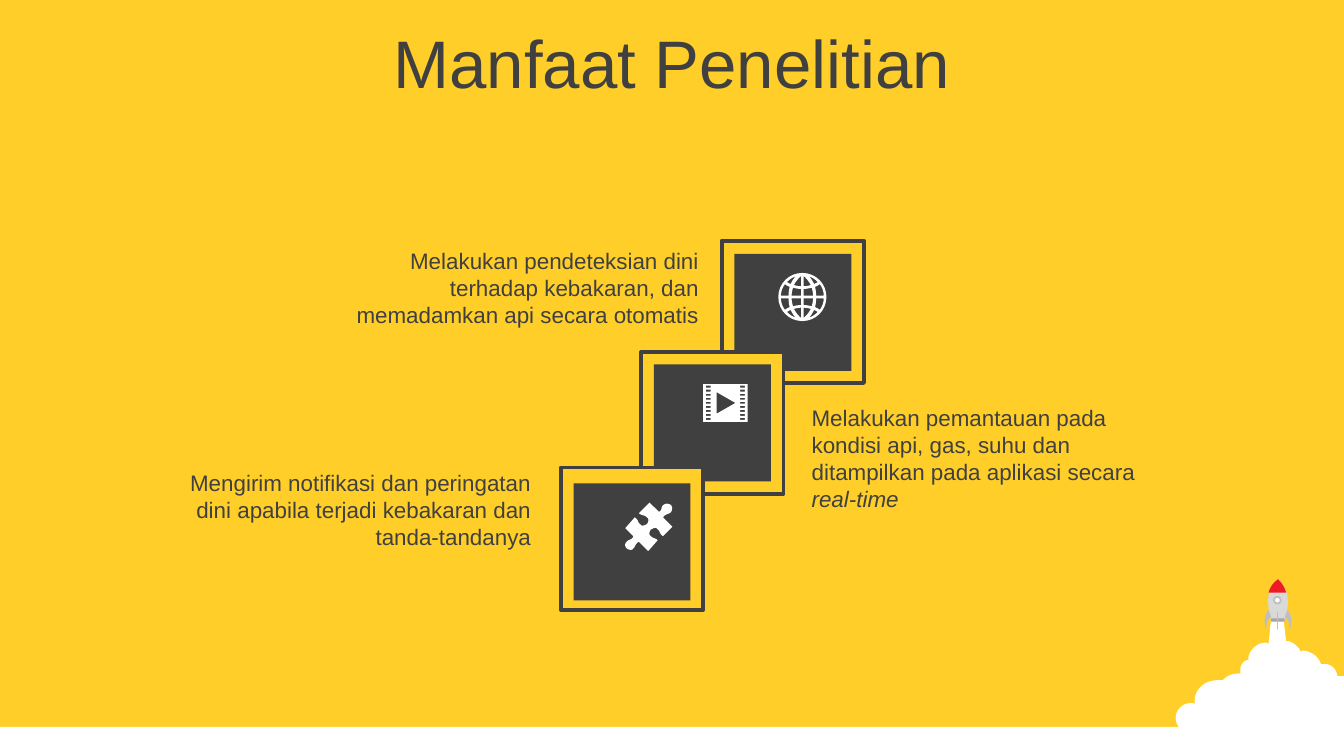
from dataclasses import dataclass
from typing import NamedTuple

from pptx import Presentation
from pptx.dml.color import RGBColor
from pptx.enum.shapes import MSO_SHAPE as Preset
from pptx.enum.text import MSO_ANCHOR as Anchor, MSO_AUTO_SIZE as AutoSize, PP_ALIGN as Align
from pptx.util import Cm, Pt


@dataclass(frozen=True)
class Theme:
    yellow: RGBColor = RGBColor(0xFF, 0xCE, 0x29)
    dark: RGBColor = RGBColor(0x40, 0x40, 0x40)
    white: RGBColor = RGBColor(0xFF, 0xFF, 0xFF)
    red: RGBColor = RGBColor(0xED, 0x1C, 0x24)
    hull: RGBColor = RGBColor(0xD9, 0xD9, 0xD9)
    fin: RGBColor = RGBColor(0xBF, 0xBF, 0xBF)
    band: RGBColor = RGBColor(0xA6, 0xA6, 0xA6)
    font: str = "Arial"
    title: Pt = Pt(36)
    body: Pt = Pt(12)


THEME = Theme()


class Box(NamedTuple):
    left: int
    top: int
    width: int
    height: int


def cm_box(*lengths):
    return Box(*(Cm(length) for length in lengths))


def paint(shape, fill, line=None, weight=1):
    shape.shadow.inherit = False
    shape.fill.solid()
    shape.fill.fore_color.rgb = fill
    if line is None:
        shape.line.fill.background()
    else:
        shape.line.color.rgb = line
        shape.line.width = Pt(weight)


def add_preset(slide, preset, box, fill, line=None, weight=1):
    paint(slide.shapes.add_shape(preset, *box), fill, line, weight)


def flatten(contour, steps=8):
    """Turn (x, y) corners and (x1, y1, x2, y2, x, y) curves into points."""
    points = [contour[0]]
    for step in contour[1:]:
        if len(step) == 2:
            points.append(step)
            continue
        nodes = [points[-1], step[:2], step[2:4], step[4:]]
        for i in range(1, steps + 1):
            t = i / steps
            weights = ((1 - t) ** 3, 3 * t * (1 - t) ** 2, 3 * t * t * (1 - t), t ** 3)
            points.append(tuple(sum(w * n[axis] for w, n in zip(weights, nodes)) for axis in (0, 1)))
    return points


def add_outline(slide, box, unit, contours, fill):
    """Draw contours given in units from the box's corner; inner ones are holes."""
    builder = None
    for contour in contours:
        points = [(box.left + x * unit, box.top + y * unit) for x, y in flatten(contour)]
        if builder is None:
            builder = slide.shapes.build_freeform(*points[0])
        else:
            builder.move_to(*points[0])
        builder.add_line_segments(points[1:], close=True)
    paint(builder.convert_to_shape(), fill)


def add_text(slide, box, runs, size, align, anchor=Anchor.TOP, auto_size=AutoSize.NONE):
    frame = slide.shapes.add_textbox(*box).text_frame
    frame.word_wrap = True
    frame.auto_size = auto_size
    frame.vertical_anchor = anchor
    paragraph = frame.paragraphs[0]
    paragraph.alignment = align
    for words, italic in runs:
        run = paragraph.add_run()
        run.text = words
        run.font.name = THEME.font
        run.font.size = size
        run.font.italic = italic
        run.font.color.rgb = THEME.dark


def rectangle(x, y, width, height):
    return [(x, y), (x + width, y), (x + width, y + height), (x, y + height)]


def flip(contour, axis):
    """Mirror a contour left to right about x = axis."""
    return [tuple(2 * axis - v if i % 2 == 0 else v for i, v in enumerate(step)) for step in contour]


# Icons: contours and their width in units
def globe():
    disc = [(18, 0), (28, 0, 36, 8, 36, 18), (36, 28, 28, 36, 18, 36),
            (8, 36, 0, 28, 0, 18), (0, 8, 8, 0, 18, 0)]
    quarter = [  # cells right of and below the centre
        [(1, 1), (8, 1), (8, 3, 7.5, 5, 7, 7), (5, 6.4, 3, 6.1, 1, 6)],
        [(10.3, 1), (16, 1), (16, 4, 15, 7, 13, 9.6), (12, 8.8, 11, 8.2, 9.5, 7.6), (10, 5.5, 10.3, 3, 10.3, 1)],
        [(1, 8), (3, 8.1, 4.5, 8.4, 6.3, 8.9), (5, 11.5, 3, 14, 1, 15.6)],
        [(8.7, 9.7), (9.8, 10.1, 10.7, 10.6, 11.5, 11.2), (9.5, 13.2, 7.5, 14.6, 5, 15.4), (6.6, 13.8, 7.8, 11.8, 8.7, 9.7)],
    ]
    cells = [[tuple(18 + (sx, sy)[i % 2] * v for i, v in enumerate(step)) for step in cell]
             for sx in (1, -1) for sy in (1, -1) for cell in quarter]
    return [disc] + cells, 36


def film():
    holes = [rectangle(x, 1.2 + 3 * row, 3.5, 1.4) for row in range(9) for x in (2, 27.5)]
    return [rectangle(0, 0, 33, 28), [(10, 6), (24, 14), (10, 22)]] + holes, 33


def puzzle():
    piece = [
        (34, 2), (35, 3, 35, 5, 34, 7), (32, 9, 30, 8, 28, 11), (35, 18), (28, 25),
        (25, 23, 26, 21, 24, 20), (23, 18, 21, 19, 19, 20), (18, 21, 17, 24, 19, 25),
        (21, 27, 22, 26, 24, 28), (17, 36), (10, 29), (7, 31, 8, 32, 6, 34),
        (5, 36, 2, 35, 1, 34), (0, 33, -1, 31, 1, 29), (3, 27, 5, 28, 6, 25), (0, 19), (7, 11),
        (10, 13, 9, 15, 11, 16), (12, 18, 14, 17, 16, 16), (17, 15, 18, 12, 16, 11),
        (14, 9, 13, 10, 10, 8), (18, 0), (25, 7), (28, 5, 26, 4, 28, 2), (30, 0, 33, 1, 34, 2),
    ]
    return [piece], 35


# Rocket and smoke, on a grid 125 units wide
SMOKE = [
    (71, 28), (80, 28), (82, 46), (84, 46), (87, 47, 90, 49, 92, 52), (93, 54), (94, 53),
    (100, 53, 106, 57, 108, 63), (111, 63), (115, 63, 119, 66, 120, 71), (120, 72), (125, 72),
    (125, 130), (11, 130), (11, 114), (5, 114, 0, 109, 0, 103), (0, 97, 5, 92, 11, 92),
    (13, 92), (14, 93), (14, 91), (14, 82, 21, 75, 31, 75), (35, 75), (36, 74),
    (39, 71, 43, 70, 48, 70), (48, 67), (48, 64, 50, 61, 53, 60), (54, 60), (54, 58),
    (55, 52, 61, 47, 67, 47), (69, 48),
]
HULL = [(71, 31), (69, 22, 65, 9, 76, 0), (87, 10, 83, 23, 81, 31)]
NOSE = [(76, 0), (79, 3, 81, 6, 82, 10), (69, 10), (70, 6, 72, 3, 76, 0)]
FIN = [(69, 23), (71, 28), (67, 30, 68, 35, 67, 37), (66, 34, 65, 26, 69, 23)]


def draw_launch(slide, box):
    unit = box.width / 125

    def part(x, y, width, height):
        return Box(int(box.left + x * unit), int(box.top + y * unit), int(width * unit), int(height * unit))

    add_outline(slide, box, unit, [SMOKE], THEME.white)
    add_outline(slide, box, unit, [HULL], THEME.hull)
    add_preset(slide, Preset.RECTANGLE, part(71, 29, 10, 2.5), THEME.band)
    add_outline(slide, box, unit, [NOSE], THEME.red)
    add_preset(slide, Preset.OVAL, part(73, 13, 5, 5), THEME.white, THEME.fin)
    add_preset(slide, Preset.RECTANGLE, part(75.3, 24, 0.7, 13), THEME.fin)
    for fin in (FIN, flip(FIN, 76)):
        add_outline(slide, box, unit, [fin], THEME.fin)


def draw_tile(slide, box, panel_drop, icon, icon_box):
    add_preset(slide, Preset.RECTANGLE, box, THEME.yellow, THEME.dark, 2)
    panel = Box(box.left + Cm(0.24), box.top + panel_drop, Cm(2.21), Cm(2.21))
    add_preset(slide, Preset.RECTANGLE, panel, THEME.dark)
    contours, units = icon
    place = icon_box._replace(left=box.left + icon_box.left, top=box.top + icon_box.top)
    add_outline(slide, place, place.width / units, contours, THEME.white)


def draw_benefits(slide, box):
    """Stack the tiles down to the left, each with its text beside it."""
    side, shift = Cm(2.69), Cm(1.52)
    tiles = [  # drop from the top, drop of the panel, icon, icon place in the tile
        (0, 0.25, globe(), cm_box(1.07, 0.61, 0.91, 0.91)),
        (2.1, 0.24, film(), cm_box(1.17, 0.61, 0.84, 0.71)),
        (4.29, 0.3, puzzle(), cm_box(1.22, 0.66, 0.89, 0.91)),
    ]
    for i, (drop, panel_drop, icon, icon_box) in enumerate(tiles):
        tile = Box(box.left + Cm(10.54) - i * shift, box.top + Cm(drop), side, side)
        draw_tile(slide, tile, Cm(panel_drop), icon, icon_box)
    benefits = [  # left, top, height, alignment, runs
        (3.17, 0, 1.8, Align.RIGHT,
         [("Melakukan pendeteksian dini terhadap kebakaran, dan memadamkan api secara otomatis", None)]),
        (11.99, 2.97, 2.82, Align.LEFT,
         [("Melakukan pemantauan pada kondisi api, gas, suhu dan ditampilkan pada aplikasi secara ", None),
          ("real-time", True)]),
        (0, 4.19, 1.8, Align.RIGHT,
         [("Mengirim notifikasi dan peringatan dini apabila terjadi kebakaran dan tanda-tandanya", None)]),
    ]
    for left, top, height, align, runs in benefits:
        place = Box(box.left + Cm(left), box.top + Cm(top), Cm(7.19), Cm(height))
        add_text(slide, place, runs, THEME.body, align, auto_size=AutoSize.SHAPE_TO_FIT_TEXT)


def main():
    deck = Presentation()
    deck.slide_width, deck.slide_height = Cm(25.4), Cm(14.29)
    slide = deck.slides.add_slide(deck.slide_layouts[6])

    # Background, ground and launch
    slide.background.fill.solid()
    slide.background.fill.fore_color.rgb = THEME.yellow
    add_preset(slide, Preset.RECTANGLE, cm_box(0, 13.74, 25.4, 0.61), THEME.white)
    draw_launch(slide, cm_box(22.22, 10.95, 3.18, 3.3))

    # Title and benefits
    add_text(slide, cm_box(0, 0.36, 25.4, 1.6), [("Manfaat Penelitian", None)],
             THEME.title, Align.CENTER, Anchor.MIDDLE)
    draw_benefits(slide, cm_box(3.1, 4.55, 19.18, 6.98))
    deck.save("out.pptx")


if __name__ == "__main__":
    main()
